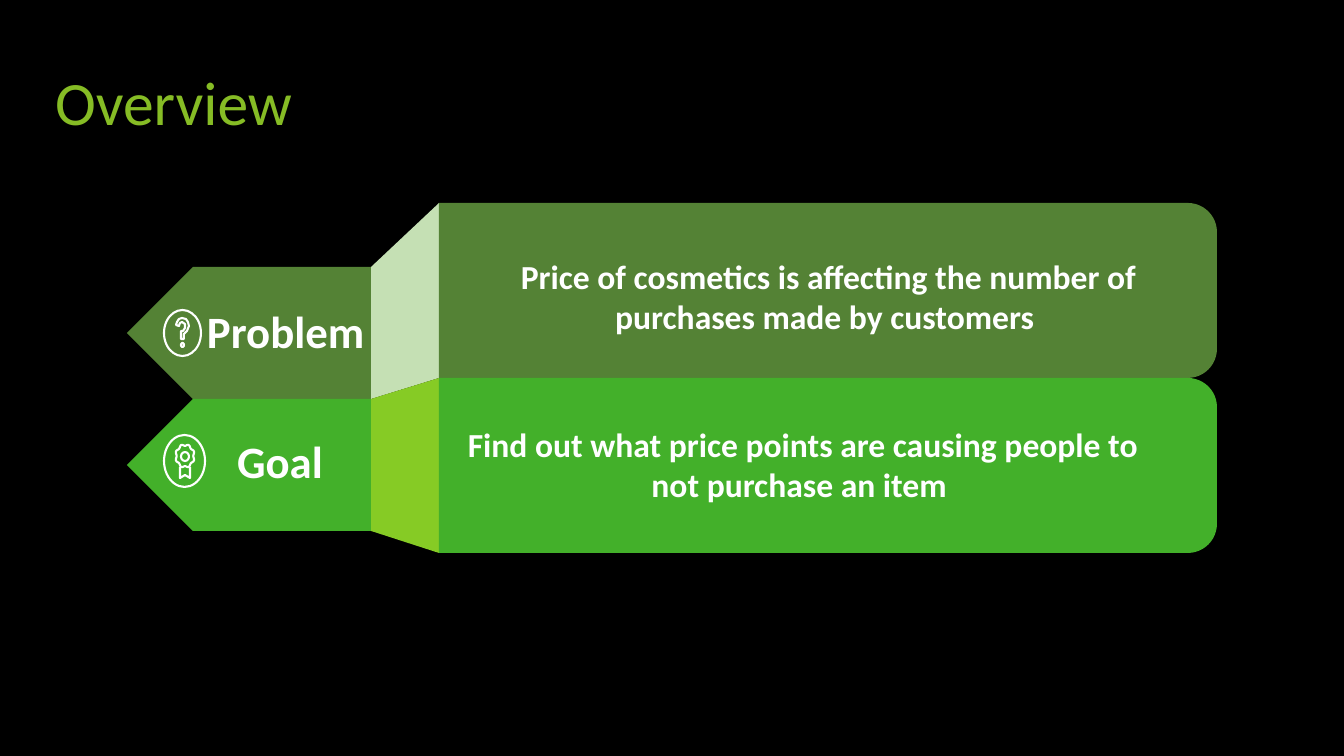
import math
from dataclasses import dataclass

import pptx
import pptx.dml.color
import pptx.enum.shapes
import pptx.enum.text
import pptx.util

SHAPE = pptx.enum.shapes.MSO_SHAPE
ALIGN = pptx.enum.text.PP_ALIGN
SLIDE_W, SLIDE_H = 1344, 756
EMU_PER_PX = 12192000 / SLIDE_W


@dataclass(frozen=True)
class Theme:
    font: str = "Calibri"
    background: str = "000000"
    title: str = "86BC25"
    white: str = "FFFFFF"
    problem: str = "548235"
    problem_fold: str = "C5E0B4"
    goal: str = "43B02A"
    goal_fold: str = "86CB25"
    title_size: int = 44
    label_size: int = 32
    body_size: int = 24
    stroke: float = 1.5


THEME = Theme()


def px(n):
    return pptx.util.Emu(round(n * EMU_PER_PX))


def rgb(color):
    return pptx.dml.color.RGBColor.from_string(color)


def paint(sp, fill=None, line=None):
    sp.shadow.inherit = False
    if fill:
        sp.fill.solid()
        sp.fill.fore_color.rgb = rgb(fill)
    else:
        sp.fill.background()
    if line:
        sp.line.color.rgb = rgb(line)
        sp.line.width = pptx.util.Pt(THEME.stroke)
    else:
        sp.line.fill.background()


def add_preset(s, kind, x, y, w, h, **colors):
    sp = s.shapes.add_shape(kind, px(x), px(y), px(w), px(h))
    paint(sp, **colors)
    return sp


def add_outline(s, points, close=True, **colors):
    start, *rest = [(px(x), px(y)) for x, y in points]
    builder = s.shapes.build_freeform(*start)
    builder.add_line_segments(rest, close=close)
    paint(builder.convert_to_shape(), **colors)


def add_text(s, text, x, y, w, h, *, size, color=THEME.white, bold=True,
             align=ALIGN.LEFT, line_spacing=1.0, space_before=0):
    tf = s.shapes.add_textbox(px(x), px(y), px(w), px(h)).text_frame
    tf.word_wrap = True
    tf.margin_left = tf.margin_right = tf.margin_top = tf.margin_bottom = 0
    p = tf.paragraphs[0]
    p.alignment = align
    p.line_spacing = line_spacing
    p.space_before = pptx.util.Pt(space_before)
    r = p.add_run()
    r.text = text
    r.font.name = THEME.font
    r.font.size = pptx.util.Pt(size)
    r.font.bold = bold
    r.font.color.rgb = rgb(color)


def add_band(s, index, color, fold_color):
    """Draw one row: arrow label, slanted fold and rounded panel."""
    label_x, label_w, label_h = 127, 244, 132
    panel_x, panel_w, panel_h = 439, 778, 175
    label_y = 267 + index * label_h
    panel_y = 203 + index * panel_h
    fold_x = label_x + label_w

    arrow = add_preset(s, SHAPE.PENTAGON, label_x, label_y, label_w, label_h, fill=color)
    arrow._element.spPr.xfrm.set("flipH", "1")
    add_outline(s, [(fold_x, label_y), (panel_x, panel_y),
                    (panel_x, panel_y + panel_h), (fold_x, label_y + label_h)],
                fill=fold_color)
    # A quarter turn swaps width and height about the panel's centre.
    shift = (panel_w - panel_h) / 2
    panel = add_preset(s, SHAPE.ROUND_2_SAME_RECTANGLE, panel_x + shift, panel_y - shift,
                       panel_h, panel_w, fill=color)
    panel.rotation = 90


def add_ring(s, x, y, w, h):
    add_preset(s, SHAPE.OVAL, x, y, w, h, line=THEME.white)


def add_question_icon(s):
    add_ring(s, 164, 310, 37, 46)
    add_outline(s, [(181, 339), (184, 339), (184, 334), (187, 331), (189, 326),
                    (188, 322), (186, 319), (182, 318), (179, 319), (177, 322),
                    (176, 325), (179, 326), (180, 323), (182, 322), (185, 324),
                    (185, 328), (183, 331), (181, 331)], line=THEME.white)
    add_ring(s, 181, 343, 3, 4)


def add_badge_icon(s):
    add_ring(s, 164, 435, 41, 52)
    cx, cy, rx, ry, lobes, steps = 185, 456, 9, 11, 8, 64
    scallop = []
    for i in range(steps):
        a = 2 * math.pi * i / steps
        k = 1 - 0.08 * math.cos(lobes * a)
        scallop.append((cx + rx * k * math.cos(a), cy + ry * k * math.sin(a)))
    add_outline(s, scallop, line=THEME.white)
    add_ring(s, 181, 452, 8, 9)
    add_outline(s, [(180, 467), (180, 478), (185, 475), (190, 478), (190, 467)],
                close=False, line=THEME.white)


def main():
    prs = pptx.Presentation()
    prs.slide_width, prs.slide_height = px(SLIDE_W), px(SLIDE_H)
    s = prs.slides.add_slide(prs.slide_layouts[6])
    s.background.fill.solid()
    s.background.fill.fore_color.rgb = rgb(THEME.background)

    add_text(s, "Overview", 55, 72, 1234, 84, size=THEME.title_size, color=THEME.title,
             bold=False, line_spacing=0.9, space_before=10)

    add_band(s, 0, THEME.problem, THEME.problem_fold)
    add_band(s, 1, THEME.goal, THEME.goal_fold)

    add_text(s, "Problem", 207, 304, 160, 54, size=THEME.label_size)
    add_text(s, "Goal", 203, 434, 154, 54, size=THEME.label_size, align=ALIGN.CENTER)
    add_text(s, "Price of cosmetics is affecting the number of purchases made by customers ",
             471, 256, 715, 82, size=THEME.body_size, align=ALIGN.CENTER)
    add_text(s, "Find out what price points are causing people to not purchase an item ",
             454, 424, 698, 82, size=THEME.body_size, align=ALIGN.CENTER)

    add_question_icon(s)
    add_badge_icon(s)
    prs.save("out.pptx")


if __name__ == "__main__":
    main()
